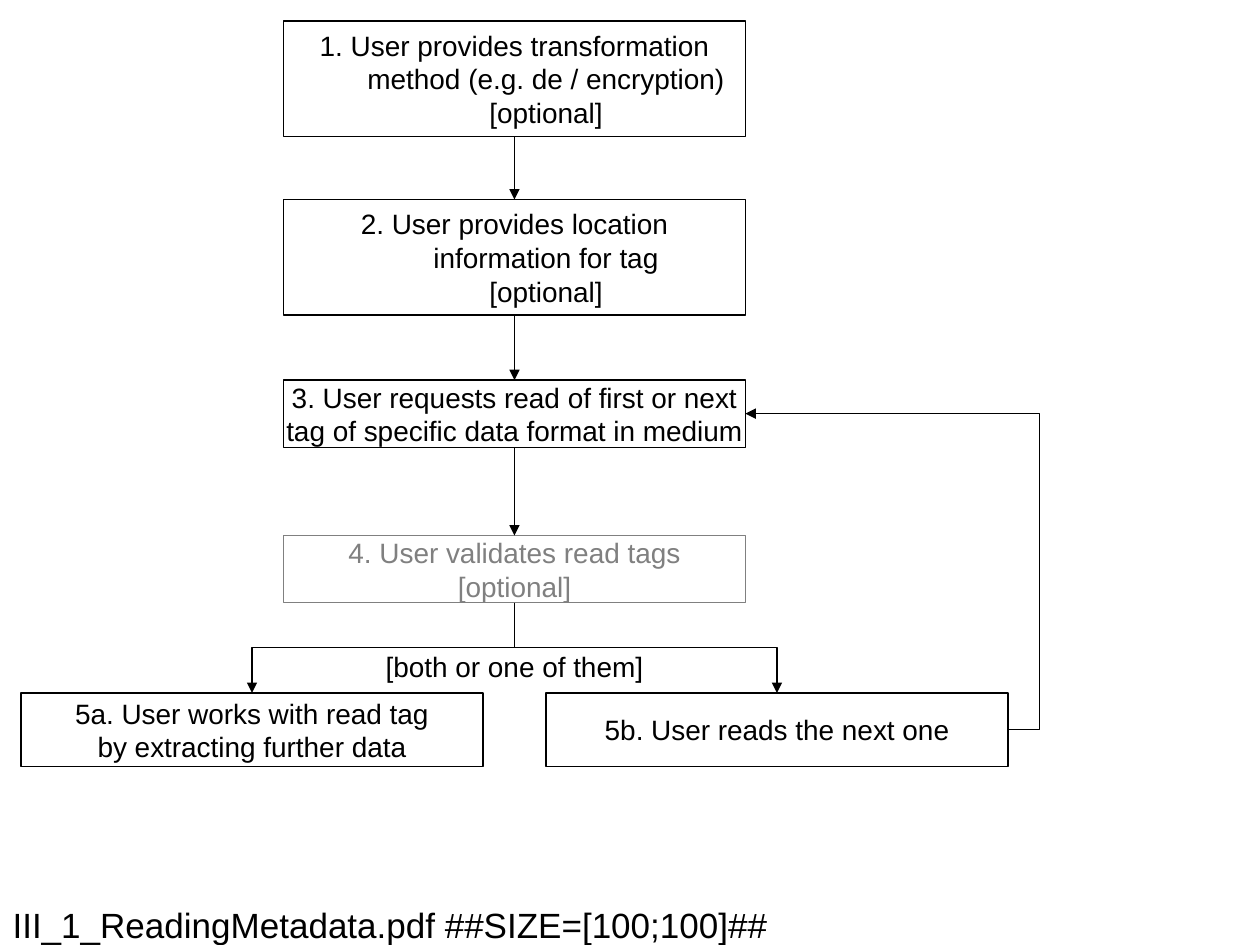
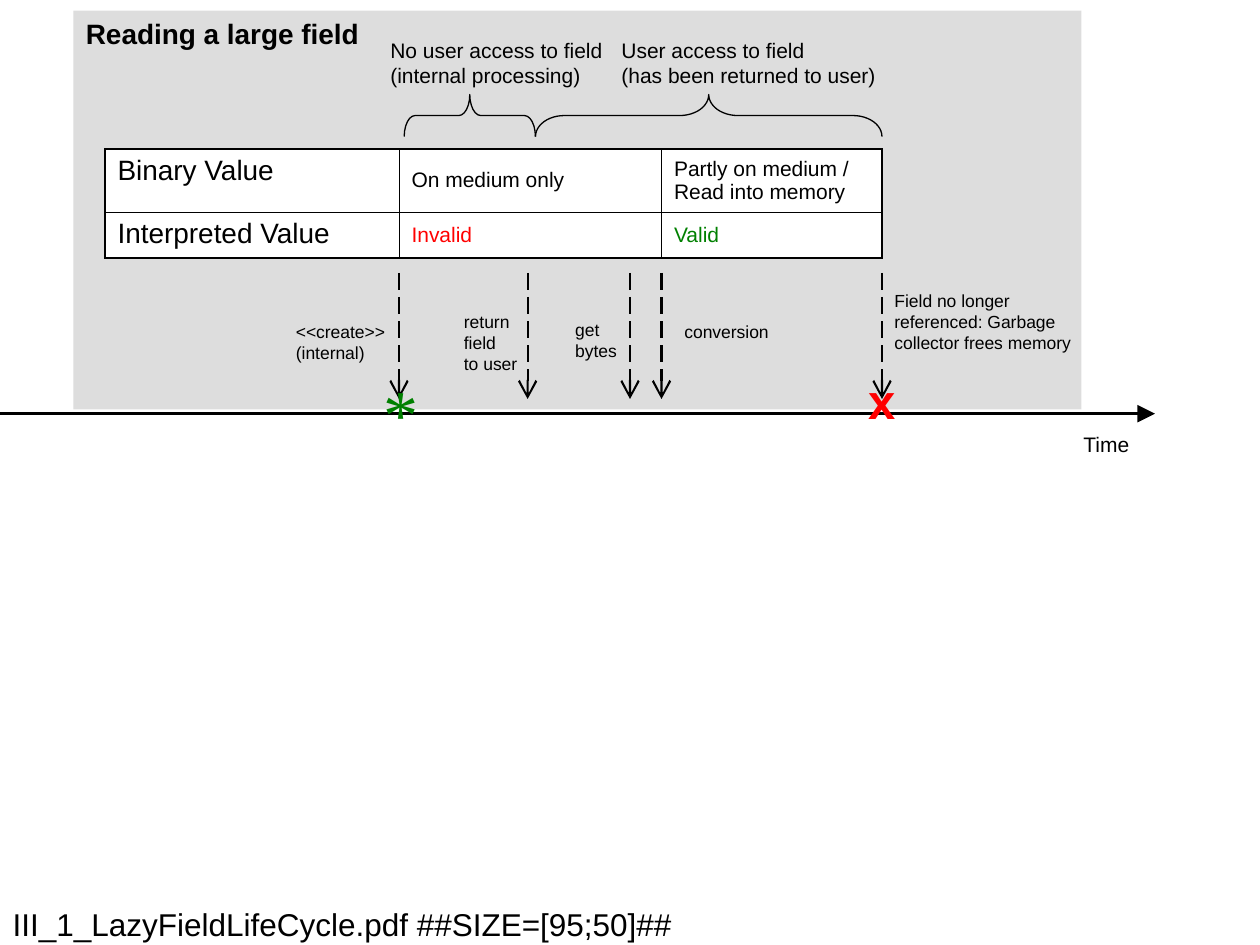
from lxml.etree import SubElement
from pptx import Presentation
from pptx.dml.color import RGBColor
from pptx.enum.dml import MSO_LINE
from pptx.enum.shapes import MSO_CONNECTOR, MSO_SHAPE
from pptx.enum.text import MSO_ANCHOR, MSO_AUTO_SIZE, PP_ALIGN
from pptx.oxml import parse_xml
from pptx.oxml.ns import nsdecls, qn
from pptx.util import Inches, Pt

UNIT = Inches(1) // 12  # the slide is a grid of 120 columns and 90 rows
COLUMNS, ROWS = 120, 90
BLACK, GRAY, PANEL, WHITE = "000000", "808080", "DDDDDD", "FFFFFF"
RED, GREEN = "FF0000", "008000"


def write_text(text_frame, text, size=16, color=BLACK, bold=False, font="Arial",
               align=PP_ALIGN.LEFT, anchor=MSO_ANCHOR.TOP, wrap=True, hanging=0):
    text_frame.word_wrap = wrap
    text_frame.auto_size = MSO_AUTO_SIZE.NONE
    text_frame.vertical_anchor = anchor
    paragraph = text_frame.paragraphs[0]
    paragraph.text = text
    paragraph.alignment = align
    paragraph.line_spacing = 1.0
    if hanging:
        properties = paragraph._p.get_or_add_pPr()
        properties.set("marL", str(hanging * UNIT))
        properties.set("indent", str(-hanging * UNIT))
    for run in paragraph.runs:
        run.font.name = font
        run.font.size = Pt(size)
        run.font.bold = bold
        run.font.color.rgb = RGBColor.from_string(color)


def draw_arrow(slide, begin, end, kind=MSO_CONNECTOR.STRAIGHT, width=0.75, dash=None,
               head="triangle", head_size="med", rotation=0, bend=None):
    """Draw an arrow between two grid points; bend places the elbow's middle part."""
    connector = slide.shapes.add_connector(
        kind, *(int(n * UNIT) for n in (*begin, *end)))
    connector.line.color.rgb = RGBColor.from_string(BLACK)
    connector.line.width = Pt(width)
    if dash:
        connector.line.dash_style = dash
    SubElement(connector.line._get_or_add_ln(), qn("a:tailEnd"),
               type=head, w=head_size, len=head_size)
    properties = connector._element.spPr
    SubElement(properties, qn("a:effectLst"))
    if rotation:
        properties.find(qn("a:xfrm")).set("rot", str(rotation * 60000))
    if bend is not None:
        guides = properties.find(qn("a:prstGeom")).find(qn("a:avLst"))
        SubElement(guides, qn("a:gd"), name="adj1", fmla=f"val {round(bend * 100000)}")


presentation = Presentation()
presentation.slide_width = COLUMNS * UNIT
presentation.slide_height = ROWS * UNIT

# Both slides carry their file name as a title along the bottom edge
slides = []
for file_name, size in [("III_1_ReadingMetadata.pdf ##SIZE=[100;100]##", 20),
                        ("III_1_LazyFieldLifeCycle.pdf ##SIZE=[95;50]##", 18)]:
    slide = presentation.slides.add_slide(presentation.slide_layouts[5])
    title = slide.shapes.title
    title.left, title.top = 0, 86 * UNIT
    title.width, title.height = COLUMNS * UNIT, 4 * UNIT
    write_text(title.text_frame, file_name, size=size, anchor=MSO_ANCHOR.MIDDLE)
    slides.append(slide)
reading_slide, life_cycle_slide = slides

# Slide 1: flow chart of reading metadata
STEP_WIDTH = 44
MAIN_LEFT = 27
CENTER = MAIN_LEFT + STEP_WIDTH / 2
BRANCH_LEFTS = (2, 52)
BRANCH_TOP = 66
steps = [
    (MAIN_LEFT, 2, 11, "1. User provides transformation\nmethod (e.g. de / encryption)\n[optional]", BLACK, 6),
    (MAIN_LEFT, 19, 11, "2. User provides location\ninformation for tag\n[optional]", BLACK, 6),
    (MAIN_LEFT, 36.2, 6.4, "3. User requests read of first or next\ntag of specific data format in medium", BLACK, 0),
    (MAIN_LEFT, 51, 6.4, "4. User validates read tags\n[optional]", GRAY, 0),
    (BRANCH_LEFTS[0], BRANCH_TOP, 7, "5a. User works with read tag\nby extracting further data", BLACK, 0),
    (BRANCH_LEFTS[1], BRANCH_TOP, 7, "5b. User reads the next one", BLACK, 0),
]
for left, top, height, text, color, hanging in steps:
    box = reading_slide.shapes.add_shape(
        MSO_SHAPE.RECTANGLE, *(int(n * UNIT) for n in (left, top, STEP_WIDTH, height)))
    box.shadow.inherit = False
    box.fill.background()
    box.line.color.rgb = RGBColor.from_string(color)
    box.line.width = Pt(0.75)
    write_text(box.text_frame, text, color=color, align=PP_ALIGN.CENTER,
               anchor=MSO_ANCHOR.MIDDLE, wrap=False, hanging=hanging)

main_steps = steps[:4]
for upper, lower in zip(main_steps, main_steps[1:]):
    draw_arrow(reading_slide, (CENTER, upper[1] + upper[2]), (CENTER, lower[1]))

# The branches leave downwards, so each elbow is a turned frame around its middle
branch_start = main_steps[-1][1] + main_steps[-1][2]
drop = BRANCH_TOP - branch_start
middle_y = branch_start + drop / 2
for side, left in zip((-1, 1), BRANCH_LEFTS):
    target = left + STEP_WIDTH / 2
    middle_x = (CENTER + target) / 2
    half_span = abs(target - CENTER) / 2
    draw_arrow(reading_slide,
               (middle_x + side * drop / 2, middle_y - half_span),
               (middle_x - side * drop / 2, middle_y + half_span),
               kind=MSO_CONNECTOR.ELBOW, rotation=180 + side * 90, bend=0.5)

draw_arrow(reading_slide, (BRANCH_LEFTS[1] + STEP_WIDTH, 69.5),
           (MAIN_LEFT + STEP_WIDTH, 39.4), kind=MSO_CONNECTOR.ELBOW, bend=-0.12)

choice = reading_slide.shapes.add_textbox(41 * UNIT, 62 * UNIT, 16 * UNIT, 3 * UNIT)
write_text(choice.text_frame, "[both or one of them]", align=PP_ALIGN.CENTER,
           anchor=MSO_ANCHOR.MIDDLE, wrap=False)

# Slide 2: life cycle of a large field
panel = life_cycle_slide.shapes.add_shape(
    MSO_SHAPE.RECTANGLE, 7 * UNIT, UNIT, 96 * UNIT, 38 * UNIT)
panel.shadow.inherit = False
panel.fill.solid()
panel.fill.fore_color.rgb = RGBColor.from_string(PANEL)
panel.line.fill.background()
write_text(panel.text_frame, "Reading a large field", bold=True)

column_widths = (28, 25, 21)
row_heights = (6, 4.4)
values = [
    [("Binary Value", BLACK), ("On medium only", BLACK),
     ("Partly on medium /\nRead into memory", BLACK)],
    [("Interpreted Value", BLACK), ("Invalid", RED), ("Valid", GREEN)],
]
table = life_cycle_slide.shapes.add_table(
    2, 3, 10 * UNIT, int(14.2 * UNIT), sum(column_widths) * UNIT,
    int(sum(row_heights) * UNIT)).table
table.first_row = table.horz_banding = False
for column, width in zip(table.columns, column_widths):
    column.width = width * UNIT
for row, height in zip(table.rows, row_heights):
    row.height = int(height * UNIT)
for r, row in enumerate(values):
    for c, (text, color) in enumerate(row):
        cell = table.cell(r, c)
        cell.fill.solid()
        cell.fill.fore_color.rgb = RGBColor.from_string(WHITE)
        write_text(cell.text_frame, text, size=12 if c else 16, color=color)
        cell.vertical_anchor = MSO_ANCHOR.MIDDLE if c else MSO_ANCHOR.TOP
        outer_edges = {"L": c == 0, "R": c == 2, "T": r == 0, "B": r == 1}
        for position, (edge, is_outer) in enumerate(outer_edges.items()):
            border = parse_xml(
                f'<a:ln{edge} {nsdecls("a")} w="{Pt(1.08 if is_outer else 0.45)}">'
                f'<a:solidFill><a:srgbClr val="{BLACK}"/></a:solidFill></a:ln{edge}>')
            cell._tc.get_or_add_tcPr().insert(position, border)

# Braces stand upright before they are turned to point up
BRACE_TOP, BRACE_DEPTH = 9, 4
for start, end, curve in [(38.5, 51, 0.26), (51, 84, 0.69)]:
    length = end - start
    frame = ((start + end - BRACE_DEPTH) / 2, BRACE_TOP + (BRACE_DEPTH - length) / 2,
             BRACE_DEPTH, length)
    brace = life_cycle_slide.shapes.add_shape(
        MSO_SHAPE.RIGHT_BRACE, *(int(n * UNIT) for n in frame))
    brace.rotation = 270
    brace.adjustments[0] = curve
    brace.shadow.inherit = False
    brace.fill.background()
    brace.line.color.rgb = RGBColor.from_string(BLACK)
    brace.line.width = Pt(0.75)

for event_x in (38, 50.25, 60, 63, 84):
    draw_arrow(life_cycle_slide, (event_x, 26), (event_x, 38), width=1.25,
               dash=MSO_LINE.LONG_DASH, head="arrow", head_size="lg")
draw_arrow(life_cycle_slide, (0, 39.4), (110, 39.4), width=2, head_size="lg")

# Labels are a little wider than their longest line, so that no line breaks early
labels = [
    (36, 3, 24, 6, "No user access to field\n(internal processing)", 12),
    (58, 3, 28, 6, "User access to field\n(has been returned to user)", 12),
    (27, 30, 12, 5.3, "<<create>>\n(internal)", 10),
    (43, 29, 9, 7.2, "return\nfield\nto user", 10),
    (53.6, 29.8, 8, 5.3, "get\nbytes", 10),
    (64, 30, 12, 3.2, "conversion", 10),
    (84, 27, 21, 7.2, "Field no longer\nreferenced: Garbage\ncollector frees memory", 10),
    (102, 40.5, 8, 3.6, "Time", 12),
]
for *frame, text, size in labels:
    label = life_cycle_slide.shapes.add_textbox(*(int(n * UNIT) for n in frame))
    write_text(label.text_frame, text, size=size)

marks = [
    ((35.3, 34.6, 5.2, 9.2), "*", {"size": 40, "color": GREEN, "font": "Times New Roman"}),
    ((81.5, 34.7, 6, 6.8), "x", {"size": 28, "color": RED, "bold": True}),
]
for frame, text, style in marks:
    mark = life_cycle_slide.shapes.add_textbox(*(int(n * UNIT) for n in frame))
    write_text(mark.text_frame, text, **style)

presentation.save("out.pptx")
